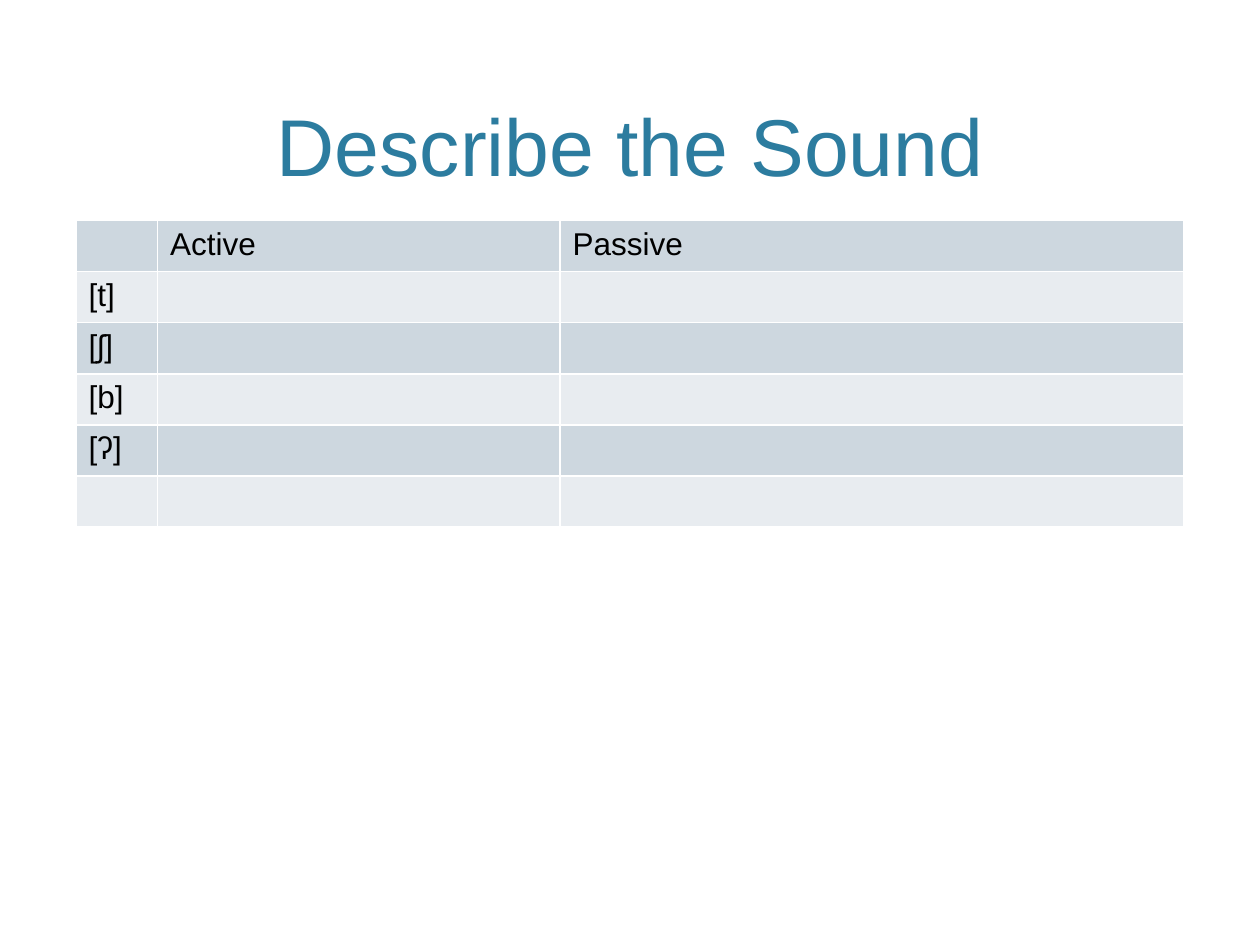
from dataclasses import dataclass

from lxml import etree
from pptx import Presentation
from pptx.dml.color import RGBColor
from pptx.enum.text import MSO_ANCHOR, PP_ALIGN
from pptx.oxml.ns import qn
from pptx.util import Pt

CENTER = PP_ALIGN.CENTER
BOTTOM = MSO_ANCHOR.BOTTOM


@dataclass(frozen=True)
class Theme:
    font: str = "Arial"
    title: str = "2C7C9F"
    text: str = "000000"
    bands: tuple = ("CDD7DF", "E8ECF0")
    border: str = "FFFFFF"
    title_size: int = 46
    body_size: int = 18


theme = Theme()


def style_paragraph(p, size, color):
    """Format the paragraph's runs, or its default font when it is empty."""
    for font in [r.font for r in p.runs] or [p.font]:
        font.name = theme.font
        font.size = Pt(size)
        font.bold = False
        font.color.rgb = RGBColor.from_string(color)


def add_borders(cell):
    """Draw a thin line on all four sides of a cell."""
    tc_pr = cell._tc.get_or_add_tcPr()
    for side in ("a:lnL", "a:lnR", "a:lnT", "a:lnB"):
        ln = etree.SubElement(tc_pr, qn(side), w=str(Pt(1)))
        fill = etree.SubElement(ln, qn("a:solidFill"))
        etree.SubElement(fill, qn("a:srgbClr"), val=theme.border)


prs = Presentation()
prs.slide_width, prs.slide_height = Pt(720), Pt(540)
s = prs.slides.add_slide(prs.slide_layouts[6])

LEFT, WIDTH = 43.5, 633

# Title
sp = s.shapes.add_textbox(Pt(LEFT), Pt(8.75), Pt(WIDTH), Pt(105))
tf = sp.text_frame
tf.word_wrap = True
tf.vertical_anchor = BOTTOM
tf.text = "Describe the Sound"
p = tf.paragraphs[0]
p.alignment = CENTER
style_paragraph(p, theme.title_size, theme.title)

# Table of sounds and their articulators
rows = [("", "Active", "Passive")]
rows += [(sound, "", "") for sound in ("[t]", "[ʃ]", "[b]", "[ʔ]", "")]
col_widths = (46.5, 230, 356.5)
row_height = 29.2

frame = s.shapes.add_table(len(rows), len(col_widths), Pt(LEFT), Pt(126),
                           Pt(WIDTH), Pt(row_height * len(rows)))
table = frame.table
table.first_row = False
table.horz_banding = False
for column, width in zip(table.columns, col_widths):
    column.width = Pt(width)

for i, row in enumerate(rows):
    table.rows[i].height = Pt(row_height)
    for j, text in enumerate(row):
        cell = table.cell(i, j)
        add_borders(cell)
        cell.fill.solid()
        cell.fill.fore_color.rgb = RGBColor.from_string(theme.bands[i % 2])
        p = cell.text_frame.paragraphs[0]
        if text:
            p.text = text
        style_paragraph(p, theme.body_size, theme.text)

prs.save("out.pptx")
